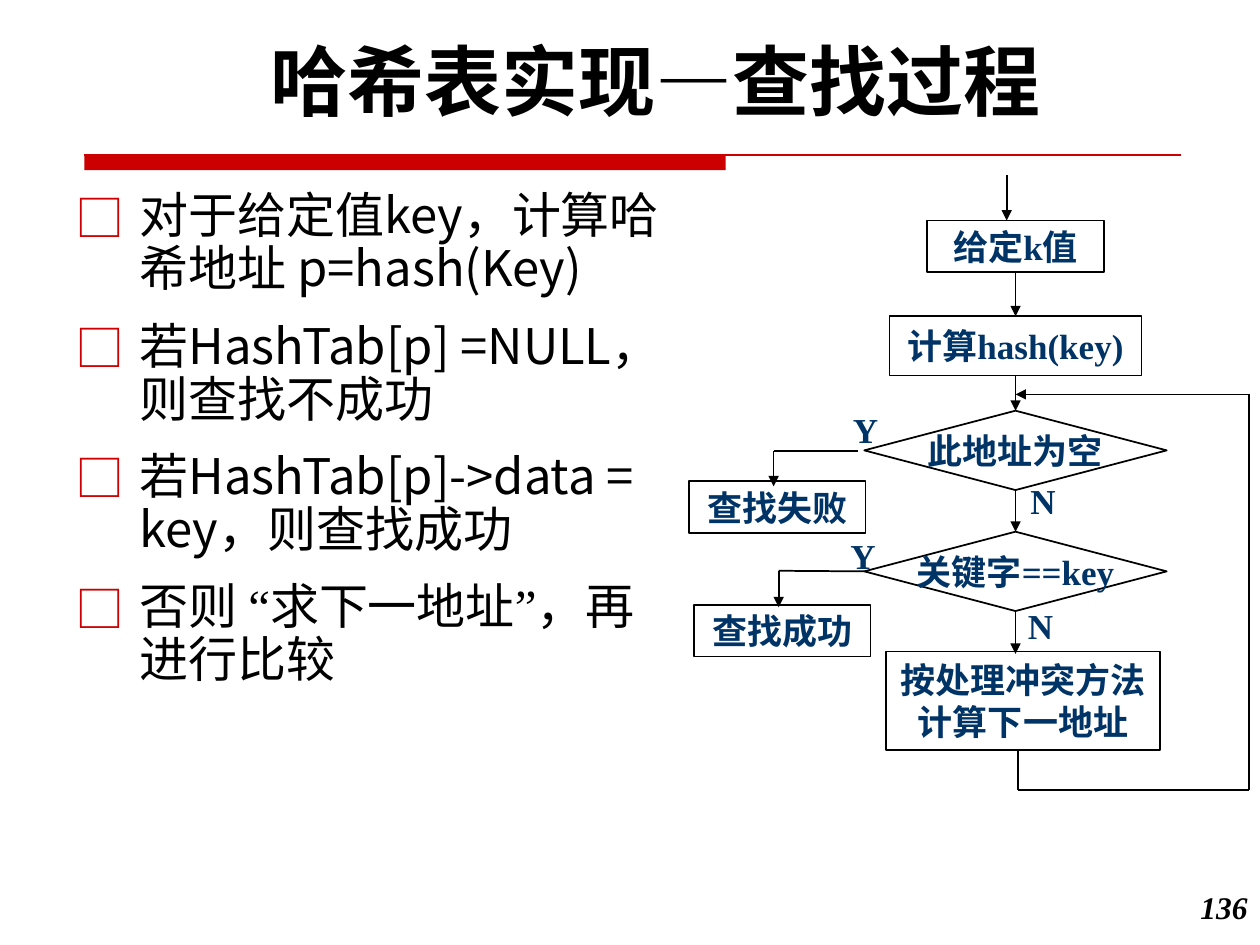
from lxml.etree import SubElement
from pptx import Presentation
from pptx.dml.color import RGBColor
from pptx.enum.shapes import MSO_CONNECTOR, MSO_SHAPE
from pptx.enum.text import MSO_ANCHOR, PP_ALIGN
from pptx.oxml.ns import qn
from pptx.util import Inches, Pt

SANS, SERIF = "Noto Sans CJK SC", "Times New Roman"
BLACK, RED, NAVY = "000000", "CC0000", "003366"
LABEL = dict(size=20, font=SERIF, color=NAVY, bold=True, wrap=False)

TITLE = "哈希表实现—查找过程"
STEPS = [
    "对于给定值key，计算哈希地址 p=hash(Key)",
    "若HashTab[p] =NULL，则查找不成功",
    "若HashTab[p]->data = key，则查找成功",
    "否则 “求下一地址”，再进行比较",
]

SPINE = 8.06
PROCESS, DECISION = MSO_SHAPE.FLOWCHART_PROCESS, MSO_SHAPE.FLOWCHART_DECISION
NODES = {
    "given": (PROCESS, SPINE, 1.75, 1.4, 0.41, ["给定k值"]),
    "hash": (PROCESS, SPINE, 2.51, 2, 0.47, ["计算hash(key)"]),
    "empty": (DECISION, SPINE, 3.26, 2.4, 0.63, ["此地址为空"]),
    "equal": (DECISION, SPINE, 4.22, 2.4, 0.63, ["关键字==key"]),
    "failure": (PROCESS, 6.17, 3.82, 1.4, 0.41, ["查找失败"]),
    "success": (PROCESS, 6.21, 4.8, 1.4, 0.41, ["查找成功"]),
    "next": (PROCESS, 8.12, 5.17, 2.17, 0.78, ["按处理冲突方法", "计算下一地址"]),
}
LINKS = [("given", "hash"), ("hash", "empty"), ("empty", "equal")]
ROUTES = [
    [(7.99, 1.39), (7.99, 1.75)],
    [(6.81, 3.58), (6.14, 3.58), (6.14, 3.86)],
    [("equal", 1), (6.18, 4.53), (6.18, 4.82)],
    [("equal", 2), (SPINE, 5.19)],
    [(8.08, 5.95), (8.08, 6.27), (9.91, 6.27), (9.91, 3.13), (SPINE, 3.13)],
]
BRANCHES = [("Y", 6.67, 3.19), ("N", 8.08, 3.76), ("Y", 6.65, 4.19), ("N", 8.06, 4.75)]

presentation = Presentation()
presentation.slide_width, presentation.slide_height = Inches(10), Inches(7.5)
slide = presentation.slides.add_slide(presentation.slide_layouts[5])
shapes = slide.shapes


def rgb(value):
    return RGBColor.from_string(value)


def split_quotes(text):
    for mark in "“”":
        text = text.replace(mark, f"\n{mark}\n")
    return text.split("\n")


def add_bullet(paragraph):
    properties = paragraph._p.get_or_add_pPr()
    properties.set("marL", str(Inches(0.51)))
    properties.set("indent", str(Inches(-0.51)))
    color = SubElement(properties, qn("a:buClr"))
    SubElement(color, qn("a:srgbClr"), val=RED)
    SubElement(properties, qn("a:buFont"), typeface=SANS)
    SubElement(properties, qn("a:buChar"), char="□")


def write(shape, paragraphs, size, font, color=BLACK, bold=False, italic=False,
          align=PP_ALIGN.LEFT, anchor=MSO_ANCHOR.TOP, wrap=True,
          bullet=False, spacing=None, before=0):
    frame = shape.text_frame
    frame.word_wrap, frame.vertical_anchor = wrap, anchor
    for index, text in enumerate(paragraphs):
        paragraph = frame.add_paragraph() if index else frame.paragraphs[0]
        paragraph.alignment = align
        if bullet:
            add_bullet(paragraph)
        if spacing:
            paragraph.line_spacing = spacing
        paragraph.space_before = Pt(before if index else 0)
        for part in split_quotes(text):
            quote = part in ("“", "”")
            run = paragraph.add_run()
            run.text = part
            run.font.size, run.font.bold, run.font.italic = Pt(size), bold, italic
            run.font.color.rgb = rgb(color)
            run.font.name = SERIF if quote else font
            SubElement(run._r.get_or_add_rPr(), qn("a:ea"),
                       typeface=SERIF if quote else SANS)


def add_text(left, top, width, height, paragraphs, **style):
    box = shapes.add_textbox(*map(Inches, (left, top, width, height)))
    write(box, paragraphs, **style)


def add_node(kind, center, top, width, height, paragraphs):
    node = shapes.add_shape(kind, *map(Inches, (center - width / 2, top, width, height)))
    node.shadow.inherit = False
    node.fill.background()
    node.line.color.rgb, node.line.width = rgb(BLACK), Pt(1)
    write(node, paragraphs, align=PP_ALIGN.CENTER, anchor=MSO_ANCHOR.MIDDLE, **LABEL)
    return node


def add_line(start, end, color=BLACK, width=1, arrow=False):
    points = [(0, 0) if isinstance(point[0], str) else point for point in (start, end)]
    line = shapes.add_connector(MSO_CONNECTOR.STRAIGHT,
                                *(Inches(value) for point in points for value in point))
    for point, connect in ((start, line.begin_connect), (end, line.end_connect)):
        if isinstance(point[0], str):
            connect(nodes[point[0]], point[1])
    line.line.color.rgb, line.line.width = rgb(color), Pt(width)
    if arrow:
        SubElement(line.line._get_or_add_ln(), qn("a:tailEnd"), type="triangle")
    SubElement(line._element.spPr, qn("a:effectLst"))


bar = shapes.add_shape(MSO_SHAPE.RECTANGLE, *map(Inches, (0.67, 1.23, 5.09, 0.12)))
bar.shadow.inherit = False
bar.fill.solid()
bar.fill.fore_color.rgb = rgb(RED)
bar.line.fill.background()
add_line((0.67, 1.23), (9.37, 1.23), color=RED, width=0.75)

title = shapes.title
title.left, title.top, title.width, title.height = map(Inches, (0.58, 0.21, 9.25, 0.84))
write(title, [TITLE], size=44, font="Karla", bold=True,
      align=PP_ALIGN.CENTER, anchor=MSO_ANCHOR.MIDDLE)

add_text(0.5, 1.47, 5, 4.58, STEPS, size=28, font=SANS,
         bullet=True, spacing=0.9, before=14)
add_text(9.08, 7, 0.92, 0.5, ["136"], size=18, font=SERIF,
         bold=True, italic=True, align=PP_ALIGN.RIGHT)

nodes = {name: add_node(*node) for name, node in NODES.items()}
for source, target in LINKS:
    add_line((source, 2), (target, 0), arrow=True)
for route in ROUTES:
    for index in range(1, len(route)):
        add_line(route[index - 1], route[index], arrow=index == len(route) - 1)
for letter, left, top in BRANCHES:
    add_text(left, top, 0.4, 0.43, [letter], **LABEL)

presentation.save("out.pptx")
